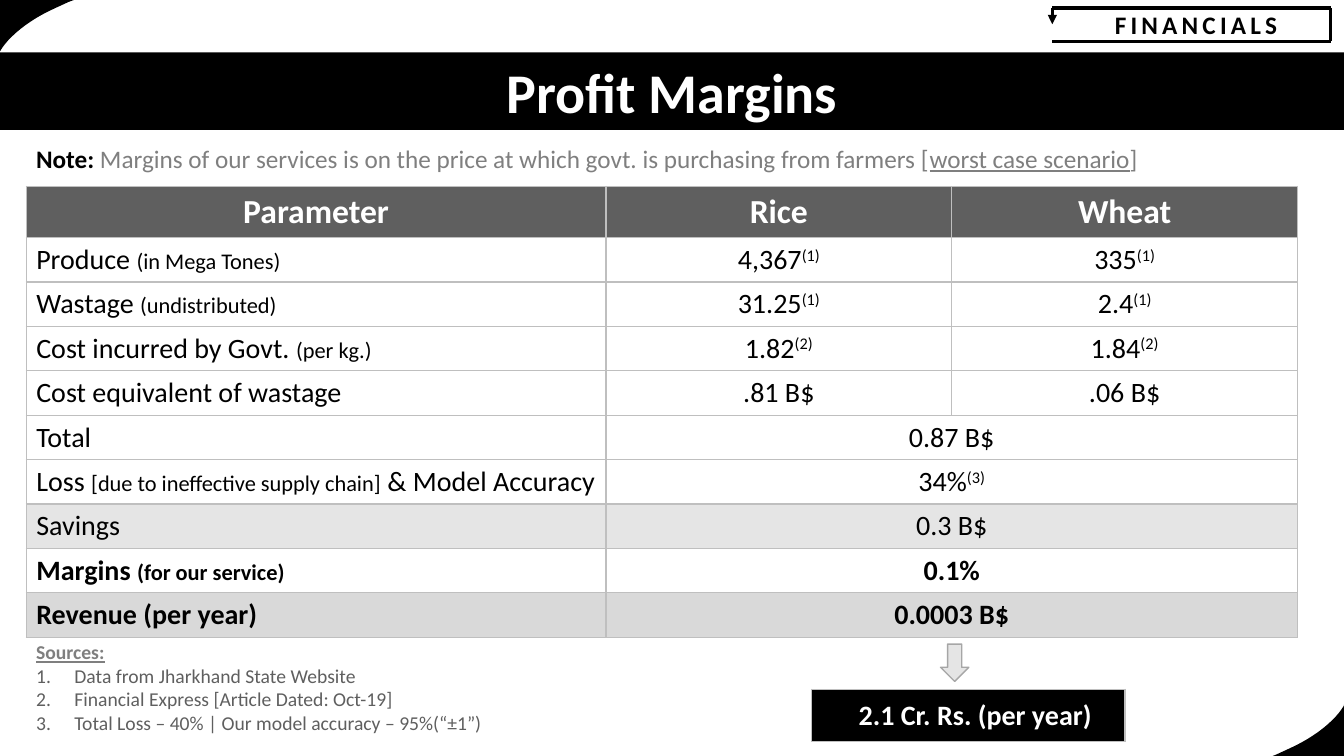
from dataclasses import dataclass
from lxml.etree import SubElement
from pptx import Presentation
from pptx.dml.color import RGBColor
from pptx.enum.shapes import MSO_CONNECTOR, MSO_SHAPE
from pptx.enum.text import MSO_ANCHOR, PP_ALIGN
from pptx.oxml.ns import qn
from pptx.util import Inches, Pt

WIDTH, HEIGHT = Inches(13.33), Inches(7.5)


@dataclass(frozen=True)
class Theme:
    font: str = "Calibri"
    black: str = "000000"
    white: str = "FFFFFF"
    slate: str = "5F5F5F"
    grey: str = "7F7F7F"
    edge: str = "A6A6A6"
    border: str = "BFBFBF"
    silver: str = "D9D9D9"
    pale: str = "E5E5E5"
    title: int = Pt(40)
    heading: int = Pt(24)
    body: int = Pt(20)
    label: int = Pt(18)
    detail: int = Pt(16)
    source: int = Pt(14)


THEME = Theme()
BODY = {"size": THEME.body}
DETAIL = {"size": THEME.detail}
RAISED = {"size": THEME.body, "baseline": 30000}
BOLD = {"size": THEME.body, "bold": True}
BOLD_DETAIL = {"size": THEME.detail, "bold": True}
HEADING = {"size": THEME.heading, "bold": True, "color": THEME.white}

PARAMETERS = [
    ([("Produce ", BODY), ("(in Mega Tones)", DETAIL)], ["4,367", "335"], "(1)", BODY, None),
    ([("Wastage ", BODY), ("(undistributed)", DETAIL)], ["31.25", "2.4"], "(1)", BODY, None),
    ([("Cost incurred by Govt. ", BODY), ("(per kg.)", DETAIL)], ["1.82", "1.84"], "(2)", BODY, None),
    ([("Cost equivalent of wastage", BODY)], [".81 B$", ".06 B$"], "", BODY, None),
    ([("Total", BODY)], ["0.87 B$"], "", BODY, None),
    ([("Loss ", BODY), ("[due to ineffective supply chain]", DETAIL), (" & Model Accuracy", BODY)],
     ["34%"], "(3)", BODY, None),
    ([("Savings", BODY)], ["0.3 B$"], "", BODY, THEME.pale),
    ([("Margins ", BOLD), ("(for our service)", BOLD_DETAIL)], ["0.1%"], "", BOLD, None),
    ([("Revenue (per year)", BOLD)], ["0.0003 B$"], "", BOLD, THEME.silver),
]
SOURCES = [
    "Data from Jharkhand State Website",
    "Financial Express [Article Dated: Oct-19]",
    "Total Loss – 40% | Our model accuracy – 95%(“±1”)",
]


def across(percent):
    return round(WIDTH * percent / 100)


def down(percent):
    return round(HEIGHT * percent / 100)


def place(left, top, width, height):
    return across(left), down(top), across(width), down(height)


def paint(fill, color):
    if color is None:
        fill.background()
    else:
        fill.solid()
        fill.fore_color.rgb = RGBColor.from_string(color)


def write(para, spans, align=PP_ALIGN.LEFT):
    para.alignment = align
    for text, style in spans:
        span = para.add_run()
        span.text = text
        values = {"name": THEME.font, "bold": False, "color": THEME.black} | style
        span.font.color.rgb = RGBColor.from_string(values.pop("color"))
        properties = span._r.get_or_add_rPr()
        for key in ("baseline", "spc"):
            if key in values:
                properties.set(key, str(values.pop(key)))
        for key, value in values.items():
            setattr(span.font, key, value)


def add_shape(page, kind, area, fill, line=None):
    shape = page.shapes.add_shape(kind, *place(*area))
    shape.shadow.inherit = False
    paint(shape.fill, fill)
    shape.line.width = Pt(1)
    paint(shape.line.fill, line)
    return shape


def add_text(shapes, area, spans, align=PP_ALIGN.LEFT, anchor=MSO_ANCHOR.TOP):
    box = shapes.add_textbox(*place(*area))
    for key, value in {"word_wrap": True, "vertical_anchor": anchor}.items():
        setattr(box.text_frame, key, value)
    write(box.text_frame.paragraphs[0], spans, align)
    return box


def add_line(shapes, start, end, arrow=False):
    line = shapes.add_connector(MSO_CONNECTOR.STRAIGHT, across(start[0]), down(start[1]),
                                across(end[0]), down(end[1]))
    paint(line.line.fill, THEME.black)
    line.line.width = Pt(2.25)
    if arrow:
        SubElement(line._element.spPr.find(qn("a:ln")), qn("a:tailEnd"), type="triangle")
    SubElement(line._element.spPr, qn("a:effectLst"))


def add_corner(page, flipped):
    bend = [(0.55, 0.08), (0.28, 0.2), (0.08, 0.37), (0, 0.51)]
    steps = [step / 12 for step in range(13)]
    curve = [
        tuple((1 - t) ** 3 * a + 3 * (1 - t) ** 2 * t * b + 3 * (1 - t) * t ** 2 * c + t ** 3 * d
              for a, b, c, d in zip(*bend))
        for t in steps
    ]
    points = [(0, -0.01), (0.76, -0.01), (0.68, 0.02), *curve, (0, 0.52)]
    if flipped:
        points = [(13.33 - x, 7.51 - y) for x, y in points]
    outline = [(Inches(x), Inches(y)) for x, y in points]
    builder = page.shapes.build_freeform(*outline[0])
    builder.add_line_segments(outline[1:], close=True)
    corner = builder.convert_to_shape()
    corner.shadow.inherit = False
    paint(corner.fill, THEME.black)
    corner.line.fill.background()


def style_cell(cell, fill):
    properties = cell._tc.get_or_add_tcPr()
    for side in ("lnL", "lnR", "lnT", "lnB"):
        edge = SubElement(properties, qn(f"a:{side}"), w=str(int(Pt(1))))
        SubElement(SubElement(edge, qn("a:solidFill")), qn("a:srgbClr"), val=THEME.border)
    cell.vertical_anchor = MSO_ANCHOR.MIDDLE
    paint(cell.fill, fill)


def add_table(page, left, top, widths, heights, fills):
    area = place(left, top, sum(widths), sum(heights))
    table = page.shapes.add_table(len(heights), len(widths), *area).table
    table.first_row = table.horz_banding = False
    for column, width in zip(table.columns, widths):
        column.width = across(width)
    for row, height, fill in zip(table.rows, heights, fills):
        row.height = down(height)
        for cell in row.cells:
            style_cell(cell, fill)
    return table


def add_margins(page):
    fills = [THEME.slate] + [row[-1] for row in PARAMETERS]
    heights = [6.4] + [5.6] * len(PARAMETERS)
    table = add_table(page, 1.95, 24.67, [43.14, 25.73, 25.73], heights, fills)
    for column, text in enumerate(["Parameter", "Rice", "Wheat"]):
        write(table.cell(0, column).text_frame.paragraphs[0], [(text, HEADING)], PP_ALIGN.CENTER)
    for row, (label, values, mark, style, _) in enumerate(PARAMETERS, 1):
        write(table.cell(row, 0).text_frame.paragraphs[0], label)
        if len(values) == 1:
            table.cell(row, 1).merge(table.cell(row, 2))
        for column, value in enumerate(values, 1):
            spans = [(value, style)] + ([(mark, RAISED)] if mark else [])
            write(table.cell(row, column).text_frame.paragraphs[0], spans, PP_ALIGN.CENTER)


def add_sources(page):
    heading = {"size": THEME.source, "bold": True, "underline": True, "color": THEME.grey}
    box = add_text(page.shapes, (1.95, 84, 90.3, 13.87), [("Sources:", heading)])
    for source in SOURCES:
        para = box.text_frame.add_paragraph()
        properties = para._p.get_or_add_pPr()
        for key, value in {"marL": 0.38, "indent": -0.38}.items():
            properties.set(key, str(int(Inches(value))))
        SubElement(properties, qn("a:buAutoNum"), type="arabicPeriod")
        write(para, [(source, {"size": THEME.source, "color": THEME.slate})])


def add_section_tag(page):
    shapes = page.shapes.add_group_shape().shapes
    style = {"size": THEME.label, "bold": True, "spc": 300}
    add_text(shapes, (79.13, 0.53, 19.73, 5.33), [("FINANCIALS", style)],
             PP_ALIGN.CENTER, MSO_ANCHOR.MIDDLE)
    left, right, top, bottom = 78.3, 99, 1.07, 5.47
    add_line(shapes, (right, top), (left, top))
    add_line(shapes, (right, top), (right, bottom))
    add_line(shapes, (right, bottom), (left, bottom))
    add_line(shapes, (left, top), (left, 3.2), arrow=True)


def main():
    deck = Presentation()
    deck.slide_width, deck.slide_height = WIDTH, HEIGHT
    page = deck.slides.add_slide(deck.slide_layouts[6])
    for flipped in (False, True):
        add_corner(page, flipped)
    band = add_shape(page, MSO_SHAPE.RECTANGLE, (0, 6.93, 100, 10.27), THEME.black)
    band.text_frame.vertical_anchor = MSO_ANCHOR.MIDDLE
    title = {"size": THEME.title, "bold": True, "color": THEME.white}
    write(band.text_frame.paragraphs[0], [("Profit Margins", title)], PP_ALIGN.CENTER)
    add_margins(page)
    add_sources(page)
    result = add_table(page, 60.38, 91.2, [23.33], [6.93], [THEME.black]).cell(0, 0)
    result.margin_left = Inches(0.24)
    write(result.text_frame.paragraphs[0],
          [("2.1 Cr. Rs. (per year)", BOLD | {"color": THEME.white})], PP_ALIGN.CENTER)
    add_shape(page, MSO_SHAPE.DOWN_ARROW, (69.98, 85.2, 2.1, 4.93), THEME.pale, THEME.edge)
    note = {"size": THEME.label, "color": THEME.grey}
    add_text(page.shapes, (1.95, 18.27, 94.6, 5.33), [
        ("Note:", {"size": THEME.label, "bold": True}),
        (" Margins of our services is on the price at which govt. is purchasing from farmers [", note),
        ("worst case scenario", note | {"underline": True}),
        ("]", note),
    ])
    add_section_tag(page)
    deck.save("out.pptx")


if __name__ == "__main__":
    main()
